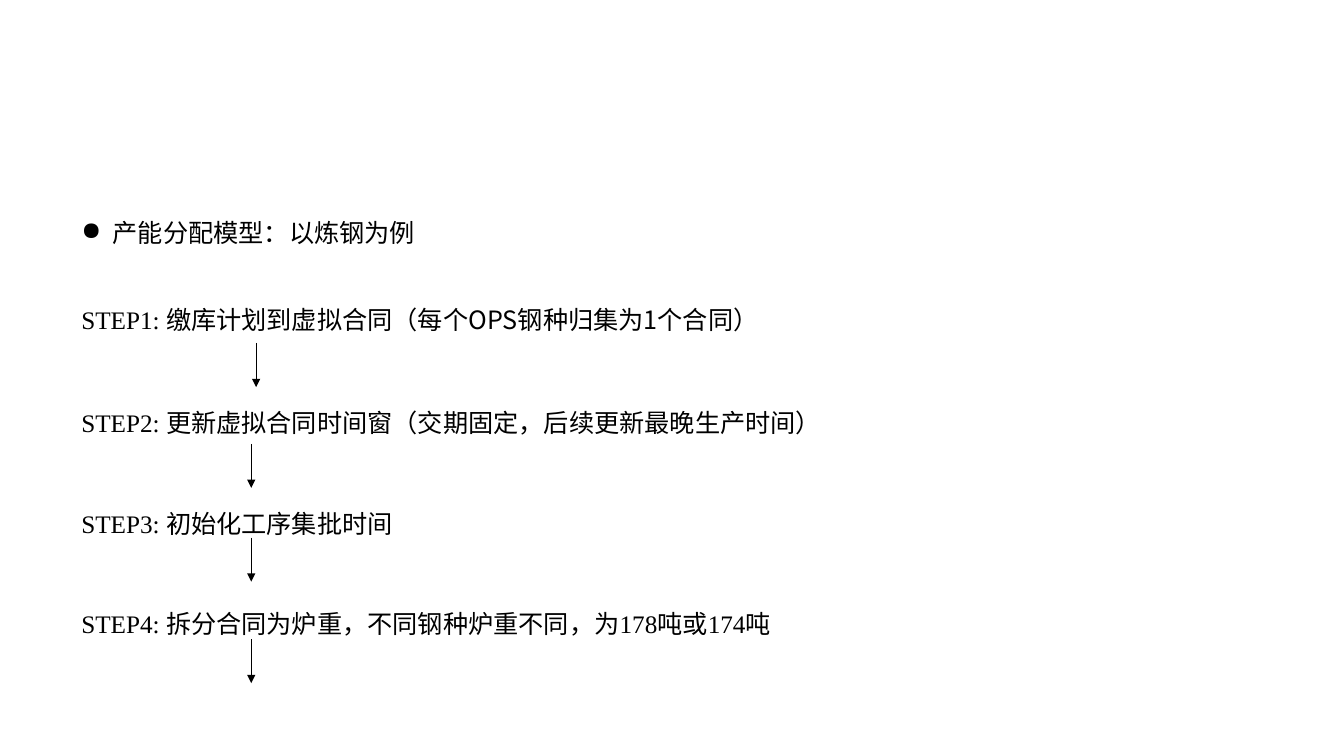
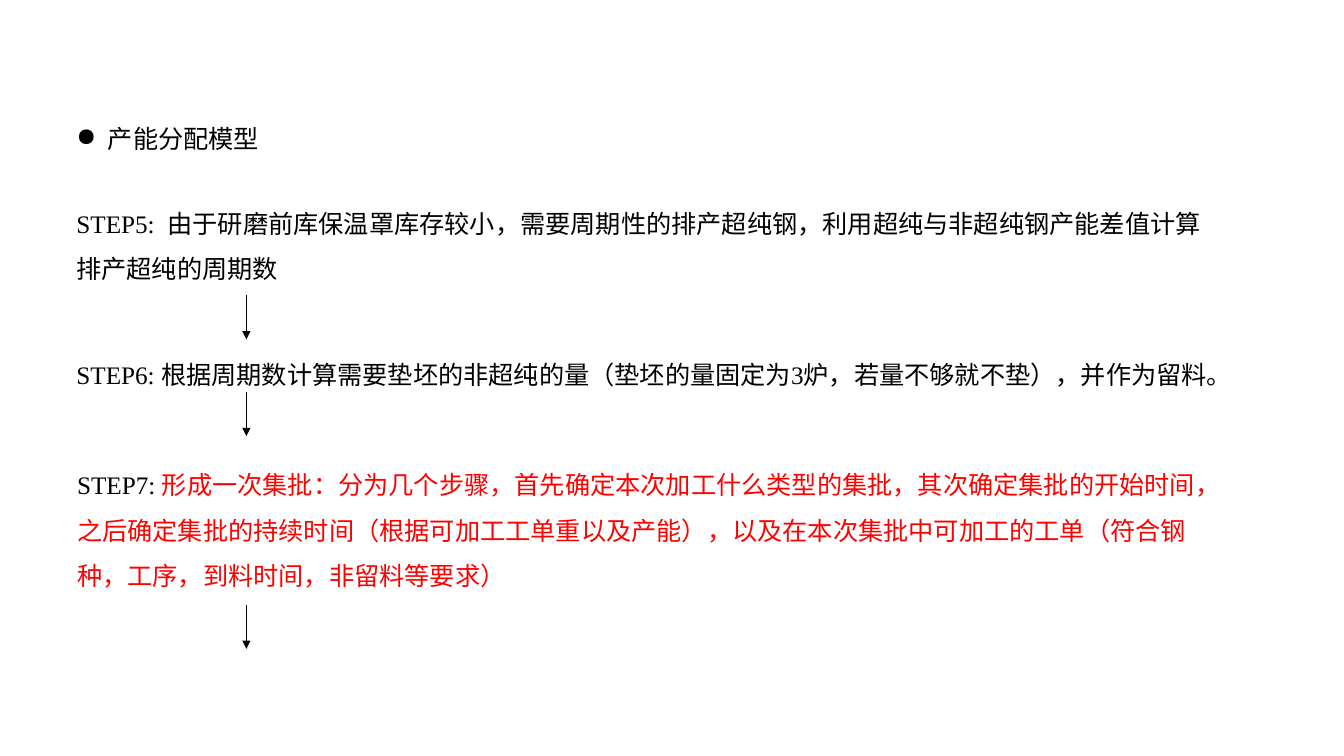
from pptx import Presentation
from pptx.dml import color as col
from pptx.enum import shapes, text
from pptx.oxml import ns, xmlchemy as xc
from pptx.util import Pt

HUES = {"ink": "000000", "key": "FF0000", "back": "FFFFFF"}
SERIF, SANS = "Times New Roman", "Noto Sans CJK SC"


class Deck:
    """Holds the shared style and the current slide."""

    size, lead, drop = 18, 1.5, 31.5  # text size, line spacing, arrow length

    def __init__(self):
        self.prs = Presentation()
        self.prs.slide_width, self.prs.slide_height = Pt(960), Pt(540)

    def hue(self, name):
        return col.RGBColor.from_string(HUES[name])

    def page(self):
        self.slide = self.prs.slides.add_slide(self.prs.slide_layouts[6])
        fill = self.slide.background.fill
        fill.solid()
        fill.fore_color.rgb = self.hue("back")

    def add(self, parent, tag, **attrs):
        node = xc.OxmlElement(tag)
        for key, val in attrs.items():
            node.set(key, val)
        parent.append(node)

    # Text box with one paragraph; runs are (text, font, hue)
    def note(self, x, y, w, h, *runs):
        frame = self.slide.shapes.add_textbox(Pt(x), Pt(y), Pt(w), Pt(h)).text_frame
        frame.word_wrap = True
        frame.auto_size = text.MSO_AUTO_SIZE.SHAPE_TO_FIT_TEXT
        para = frame.paragraphs[0]
        para.line_spacing = self.lead
        for words, face, hue in runs:
            run = para.add_run()
            run.text = words
            run.font.size = Pt(self.size)
            run.font.name = face
            run.font.color.rgb = self.hue(hue)
            self.add(run.font._element, "a:ea", typeface=SANS)
        return para

    # Bulleted heading
    def head(self, x, y, words):
        props = self.note(x, y, 720, 36, (words, SANS, "ink"))._p.get_or_add_pPr()
        props.set("marL", str(Pt(22.5)))
        props.set("indent", str(-Pt(22.5)))
        self.add(props, "a:buChar", char="●")

    # Downward arrow
    def arrow(self, x, y):
        line = self.slide.shapes.add_connector(
            shapes.MSO_CONNECTOR.STRAIGHT, Pt(x), Pt(y), Pt(x), Pt(y + self.drop))
        line.line.width = Pt(0.5)
        line.line.color.rgb = self.hue("ink")
        props = line._element.spPr
        self.add(props.find(ns.qn("a:ln")), "a:tailEnd", type="triangle")
        self.add(props, "a:effectLst")


def main():
    deck = Deck()

    # Steps 1 to 4
    deck.page()
    deck.head(51, 141, "产能分配模型：以炼钢为例")
    steps = [
        (203, 720, 183, 245, "缴库计划到虚拟合同（每个OPS钢种归集为1个合同）", SANS),
        (276.5, 720, 179.5, 317, "更新虚拟合同时间窗（交期固定，后续更新最晚生产时间）", SERIF),
        (348.5, 249, 179.5, 384, "初始化工序集批时间", SERIF),
        (420.5, 598, 179.5, 456.5, "拆分合同为炉重，不同钢种炉重不同，为178吨或174吨", SERIF),
    ]
    for num, (y, w, ax, ay, words, face) in enumerate(steps, 1):
        deck.note(51, y, w, 36, (f"STEP{num}: ", SERIF, "ink"), (words, face, "ink"))
        deck.arrow(ax, ay)

    # Steps 5 to 7
    deck.page()
    deck.head(47.5, 73.5, "产能分配模型")
    steps = [
        (47.5, 134.5, 819.5, 69, 211, "ink",
         " 由于研磨前库保温罩库存较小，需要周期性的排产超纯钢，"
         "利用超纯与非超纯钢产能差值计算排产超纯的周期数"),
        (47.5, 242, 842.5, 36, 280, "ink",
         "根据周期数计算需要垫坯的非超纯的量（垫坯的量固定为3炉，"
         "若量不够就不垫），并作为留料。"),
        (48, 321, 818.5, 101.5, 432, "key",
         "形成一次集批：分为几个步骤，首先确定本次加工什么类型的集批，"
         "其次确定集批的开始时间，之后确定集批的持续时间（根据可加工工单重以及产能），"
         "以及在本次集批中可加工的工单（符合钢种，工序，到料时间，非留料等要求）"),
    ]
    for num, (x, y, w, h, ay, hue, words) in enumerate(steps, 5):
        deck.note(x, y, w, h, (f"STEP{num}: ", SERIF, "ink"), (words, SERIF, hue))
        deck.arrow(176, ay)

    deck.prs.save("out.pptx")


if __name__ == "__main__":
    main()
